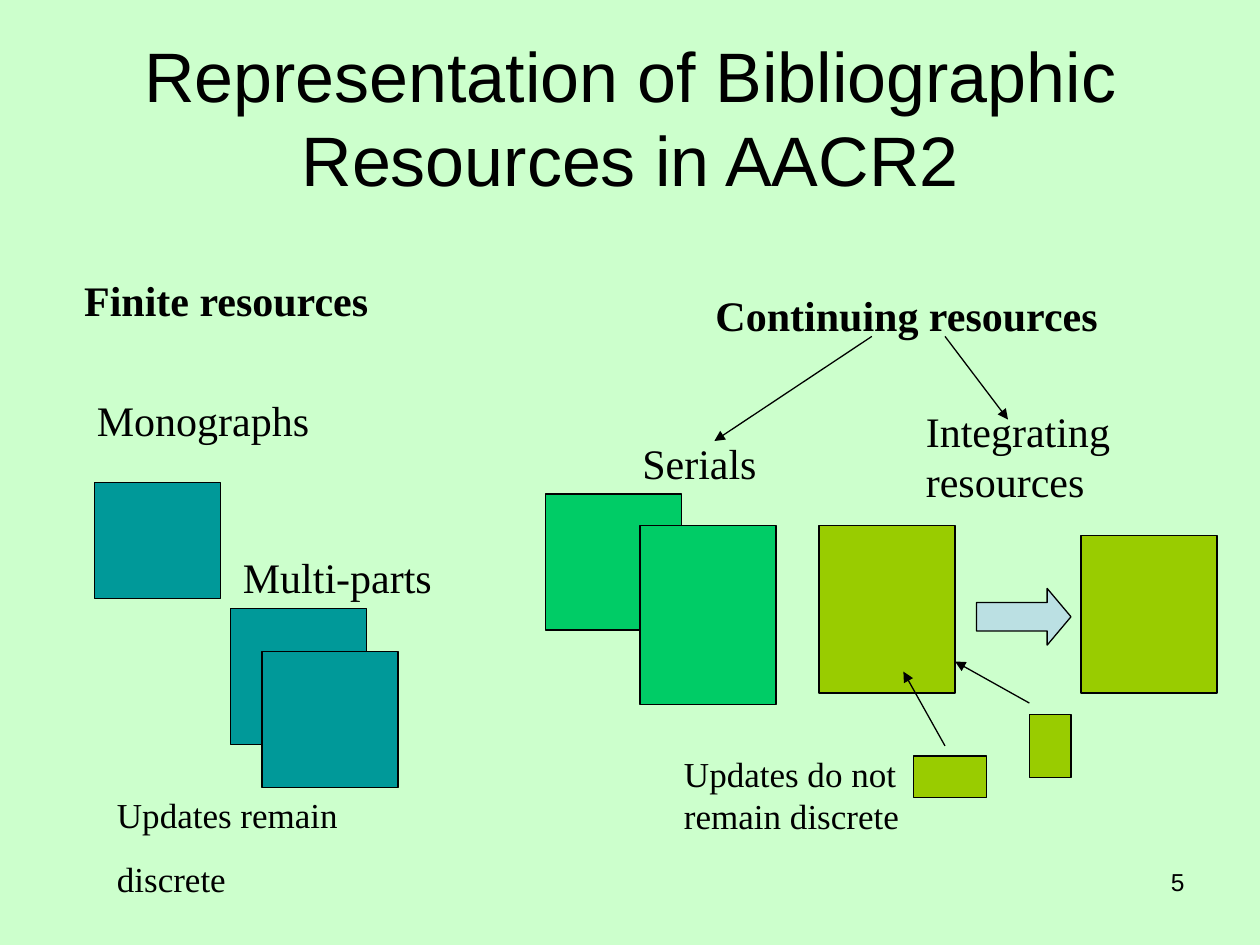
import dataclasses

import lxml.etree
import pptx
import pptx.dml.color
import pptx.enum.shapes
import pptx.enum.text
import pptx.oxml.ns
import pptx.util

Inches = pptx.util.Inches
Pt = pptx.util.Pt
Align = pptx.enum.text.PP_ALIGN
ShapeType = pptx.enum.shapes.MSO_SHAPE


@dataclasses.dataclass(frozen=True)
class Theme:
    background: str = "CCFFCC"
    ink: str = "000000"
    finite: str = "009999"
    serial: str = "00CC66"
    integrating: str = "99CC00"
    arrow: str = "BBE0E3"
    title_font: str = "Arial"
    body_font: str = "Times New Roman"
    title_size: int = 40
    label_size: int = 24
    note_size: int = 20
    number_size: int = 14
    line_width: float = 0.75


def color(value):
    return pptx.dml.color.RGBColor.from_string(value)


class SlideBuilder:
    def __init__(self, presentation, theme):
        self.theme = theme
        self.slide = presentation.slides.add_slide(presentation.slide_layouts[5])
        background = self.slide.background.fill
        background.solid()
        background.fore_color.rgb = color(theme.background)

    def set_text(self, frame, lines, size, font, bold=False, align=Align.LEFT, space=0):
        frame.text = "\n".join(lines)
        for index, paragraph in enumerate(frame.paragraphs):
            paragraph.alignment = align
            paragraph.space_before = Pt(space if index else 0)
            paragraph.font.size = Pt(size)
            paragraph.font.name = font
            paragraph.font.bold = bold
            paragraph.font.color.rgb = color(self.theme.ink)

    def title(self, text, left, top, width, height):
        shape = self.slide.shapes.title
        shape.left, shape.top = Inches(left), Inches(top)
        shape.width, shape.height = Inches(width), Inches(height)
        frame = shape.text_frame
        frame.auto_size = pptx.enum.text.MSO_AUTO_SIZE.NONE
        frame.vertical_anchor = pptx.enum.text.MSO_ANCHOR.MIDDLE
        self.set_text(frame, [text], self.theme.title_size, self.theme.title_font,
                      align=Align.CENTER)

    def text(self, lines, left, top, width, height, size=None, font=None, **style):
        shape = self.slide.shapes.add_textbox(
            Inches(left), Inches(top), Inches(width), Inches(height))
        shape.text_frame.word_wrap = True
        self.set_text(shape.text_frame, lines, size or self.theme.label_size,
                      font or self.theme.body_font, **style)

    def block(self, fill, left, top, width, height, kind=ShapeType.RECTANGLE):
        shape = self.slide.shapes.add_shape(
            kind, Inches(left), Inches(top), Inches(width), Inches(height))
        shape.shadow.inherit = False
        shape.fill.solid()
        shape.fill.fore_color.rgb = color(fill)
        shape.line.color.rgb = color(self.theme.ink)
        shape.line.width = Pt(self.theme.line_width)
        return shape

    def pointer(self, start, end):
        connector = self.slide.shapes.add_connector(
            pptx.enum.shapes.MSO_CONNECTOR.STRAIGHT,
            *(Inches(value) for value in (*start, *end)))
        connector.line.color.rgb = color(self.theme.ink)
        connector.line.width = Pt(self.theme.line_width)
        # Arrowhead at the end, no shadow
        qualified = pptx.oxml.ns.qn
        properties = connector.element.spPr
        lxml.etree.SubElement(properties.find(qualified("a:ln")),
                              qualified("a:tailEnd"), type="triangle")
        lxml.etree.SubElement(properties, qualified("a:effectLst"))


def main():
    theme = Theme()
    presentation = pptx.Presentation()
    presentation.slide_width = Inches(10)
    presentation.slide_height = Inches(7.5)
    builder = SlideBuilder(presentation, theme)
    side = 1.08  # common width of the resource blocks

    builder.title("Representation of Bibliographic Resources in AACR2", 0.5, 0.3, 9, 1.25)

    # Finite resources: monographs and multi-parts
    builder.block(theme.finite, 0.75, 3.83, 1, 0.92)
    builder.block(theme.finite, 1.83, 4.83, side, side)
    builder.block(theme.finite, 2.08, 5.17, side, side)
    builder.text(["Finite resources"], 0.57, 2.13, 2.47, 0.5, bold=True)
    builder.text(["Monographs"], 0.67, 3.08, 2.08, 0.5)
    builder.text(["Multi-parts"], 1.83, 4.33, 2.17, 0.5)
    builder.text(["Updates remain", "discrete"], 0.83, 6.25, 3.33, 0.94,
                 size=theme.note_size, space=12.5)

    # Continuing resources: heading and its two branches
    builder.text(["Continuing resources"], 5.58, 2.25, 3.92, 0.5, bold=True)
    builder.pointer((6.92, 2.67), (5.67, 3.5))
    builder.pointer((7.5, 2.67), (8, 3.33))

    # Serials
    builder.text(["Serials"], 5, 3.42, 1.17, 0.5)
    builder.block(theme.serial, 4.33, 3.92, side, side)
    builder.block(theme.serial, 5.08, 4.17, side, 1.42)

    # Integrating resources: before, after and the updates merged in
    builder.text(["Integrating resources"], 7.25, 3.17, 2.42, 0.9)
    builder.block(theme.integrating, 6.5, 4.17, side, 1.33)
    arrow = builder.block(theme.arrow, 7.75, 4.67, 0.75, 0.45, ShapeType.RIGHT_ARROW)
    arrow.adjustments[1] = 0.42
    builder.block(theme.integrating, 8.58, 4.25, side, 1.25)
    builder.block(theme.integrating, 7.25, 6, 0.58, 0.33)
    builder.block(theme.integrating, 8.17, 5.67, 0.33, 0.5)
    builder.pointer((8.17, 5.58), (7.58, 5.25))
    builder.pointer((7.5, 5.92), (7.17, 5.33))
    builder.text(["Updates do not remain discrete"], 5.33, 5.92, 1.92, 0.77,
                 size=theme.note_size)

    # Slide number
    builder.text(["5"], 7.17, 6.83, 2.33, 0.52, size=theme.number_size,
                 font=theme.title_font, align=Align.RIGHT)

    presentation.save("out.pptx")


if __name__ == "__main__":
    main()
